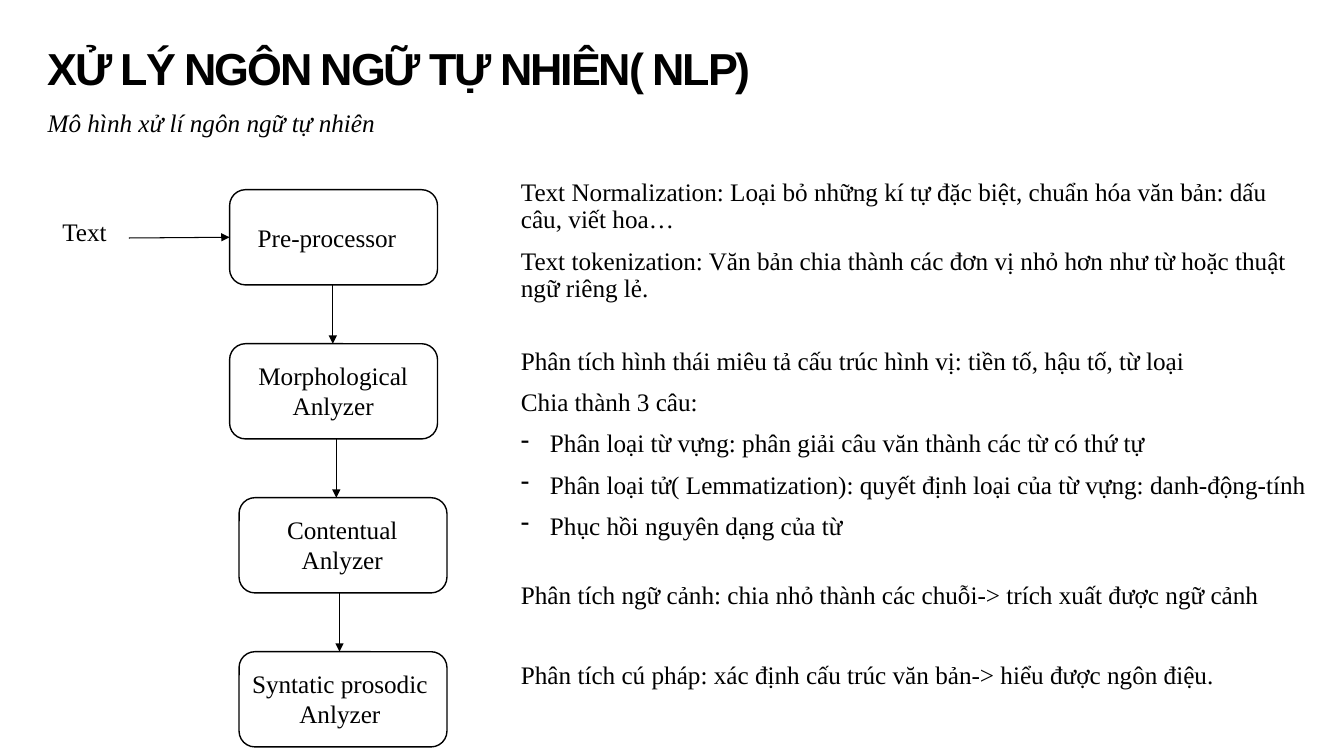
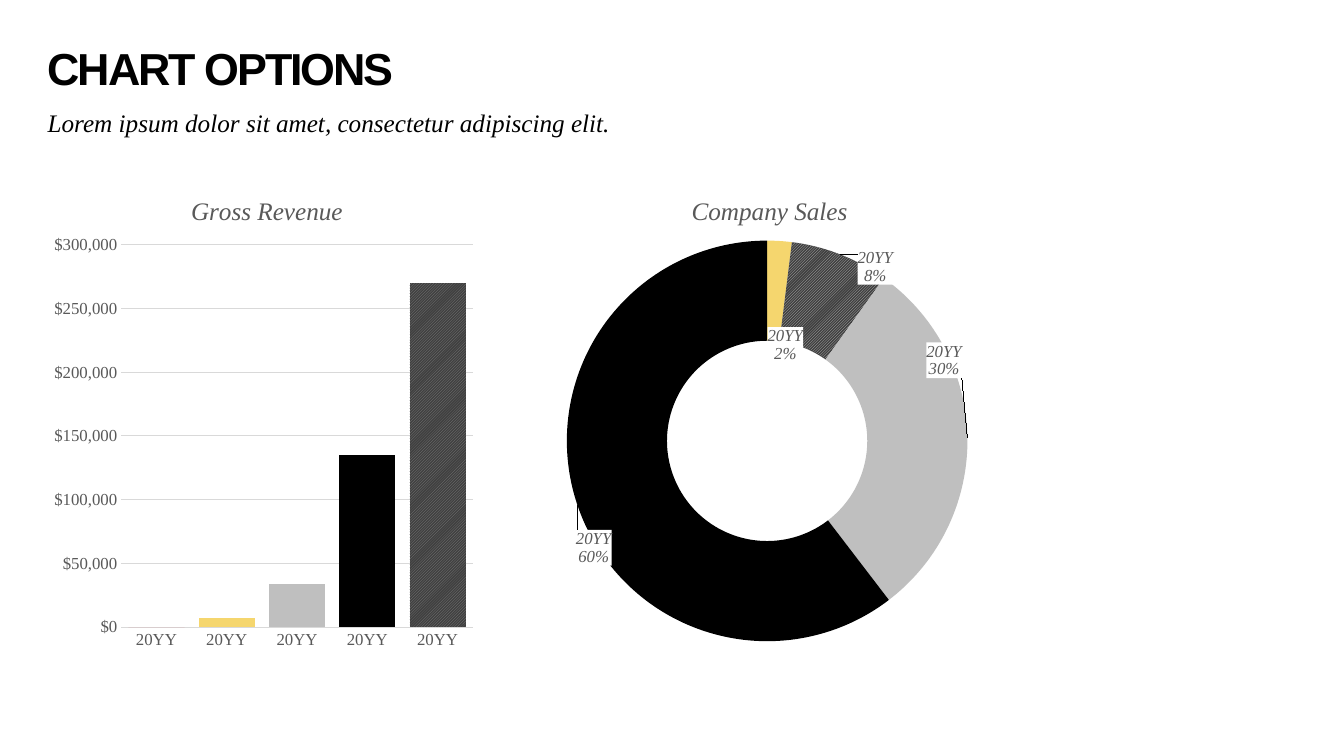
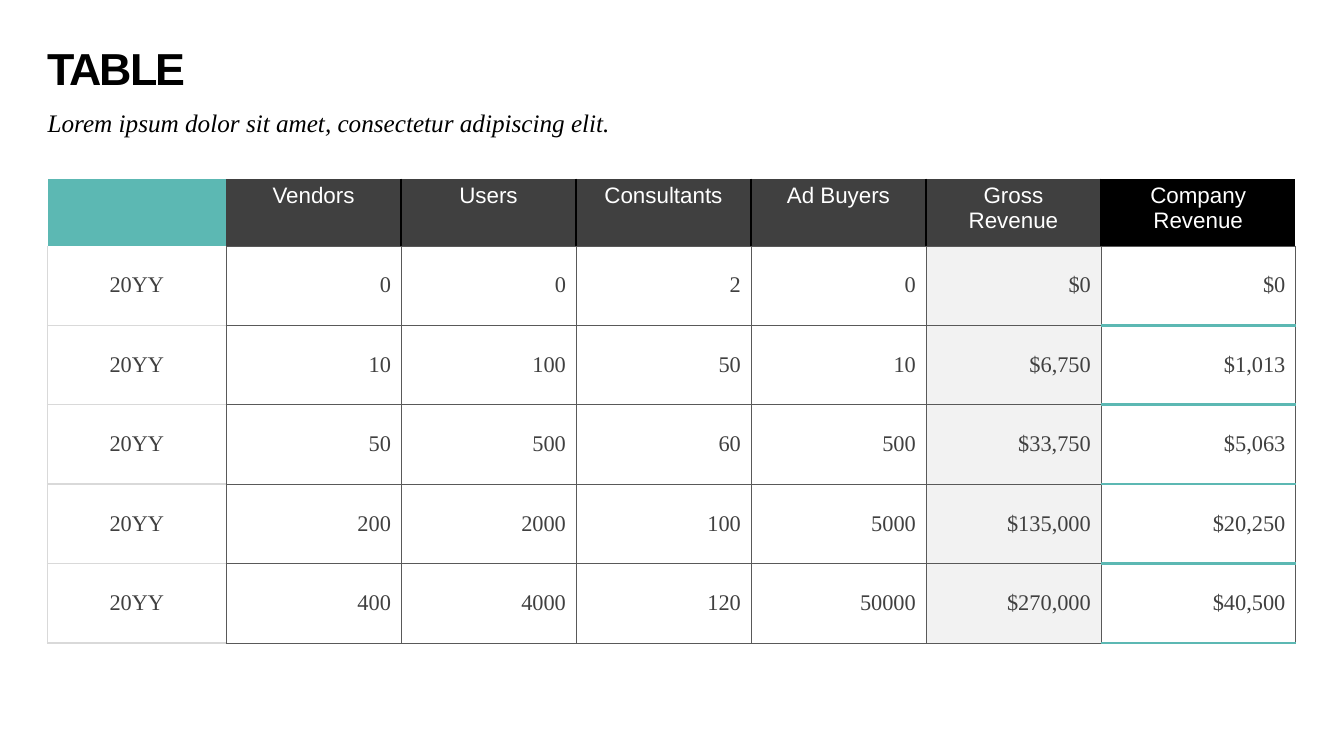
from copy import deepcopy
from dataclasses import dataclass
from typing import Optional

from lxml import etree
from pptx import Presentation
from pptx.chart.data import CategoryChartData
from pptx.dml.color import RGBColor
from pptx.enum.chart import XL_CHART_TYPE, XL_TICK_MARK
from pptx.enum.dml import MSO_PATTERN
from pptx.enum.shapes import MSO_CONNECTOR, MSO_SHAPE
from pptx.enum.text import MSO_ANCHOR, MSO_AUTO_SIZE, PP_ALIGN
from pptx.oxml import parse_xml
from pptx.oxml.ns import nsdecls, qn
from pptx.util import Pt

COLUMN, DOUGHNUT = XL_CHART_TYPE.COLUMN_CLUSTERED, XL_CHART_TYPE.DOUGHNUT
NO_TICK = XL_TICK_MARK.NONE
DIAGONAL = MSO_PATTERN.DARK_UPWARD_DIAGONAL
STRAIGHT, ROUND_RECT = MSO_CONNECTOR.STRAIGHT, MSO_SHAPE.ROUNDED_RECTANGLE
TOP, MIDDLE = MSO_ANCHOR.TOP, MSO_ANCHOR.MIDDLE
GROW = MSO_AUTO_SIZE.SHAPE_TO_FIT_TEXT
LEFT, CENTER, RIGHT = PP_ALIGN.LEFT, PP_ALIGN.CENTER, PP_ALIGN.RIGHT


@dataclass(frozen=True)
class Theme:
    black: str = "000000"
    white: str = "FFFFFF"
    dark: str = "404040"
    gray: str = "595959"
    mid: str = "808080"
    silver: str = "BFBFBF"
    rule: str = "D9D9D9"
    pale: str = "F2F2F2"
    teal: str = "5CB8B3"
    rose: str = "D78189"
    gold: str = "F5D66E"
    sans: str = "Arial"
    serif: str = "Times New Roman"
    title: float = 32
    body: float = 18
    cell: float = 16
    label: float = 12
    small: float = 10
    margin: float = 34
    leading: float = 0.9
    gap: float = 10


T = Theme()


@dataclass(frozen=True)
class Box:
    x: float
    y: float
    w: float
    h: float

    def lengths(self) -> tuple:
        return Pt(self.x), Pt(self.y), Pt(self.w), Pt(self.h)


@dataclass(frozen=True)
class Stage:
    name: str
    left: float
    label: Box
    align: PP_ALIGN
    arrow_x: Optional[float] = None


@dataclass(frozen=True)
class Note:
    box: Box
    lines: tuple
    bullets: tuple = ()


@dataclass(frozen=True)
class Hatch:
    fore: str
    back: str


@dataclass(frozen=True)
class ChartSpec:
    kind: XL_CHART_TYPE
    box: Box
    title: str
    title_at: tuple
    plot_at: tuple
    values: tuple
    fills: tuple


@dataclass(frozen=True)
class Border:
    color: str
    width: float


# Text helpers
def rgb(color: str) -> RGBColor:
    return RGBColor.from_string(color)


def style_font(font, size: float, color: str, face: str = T.serif,
               bold: bool = False, italic: bool = False) -> None:
    font.name, font.size = face, Pt(size)
    font.bold, font.italic = bold, italic
    font.color.rgb = rgb(color)


def add_run(p, text: str, size: float = T.body, color: str = T.black, **look):
    r = p.add_run()
    r.text = text
    style_font(r.font, size, color, **look)
    return r


def text_frame(s, box: Box, inset: bool = True):
    tf = s.shapes.add_textbox(*box.lengths()).text_frame
    tf.word_wrap = True
    if not inset:
        tf.margin_left = tf.margin_top = tf.margin_right = tf.margin_bottom = 0
    return tf


def add_label(s, box: Box, text: str, align: PP_ALIGN = LEFT) -> None:
    tf = text_frame(s, box)
    tf.auto_size = GROW
    tf.paragraphs[0].alignment = align
    add_run(tf.paragraphs[0], text)


def add_note(s, note: Note) -> None:
    tf = text_frame(s, note.box)
    for i, text in enumerate(note.lines + note.bullets):
        p = tf.add_paragraph() if i else tf.paragraphs[0]
        p.line_spacing = T.leading
        if i:
            p.space_before = Pt(T.gap)
        if i >= len(note.lines):
            pPr = p._p.get_or_add_pPr()
            pPr.set("marL", str(Pt(20.75)))
            pPr.set("indent", str(-Pt(20.75)))
            etree.SubElement(pPr, qn("a:buChar")).set("char", "-")
        add_run(p, text)


def new_slide(prs, title: str, subtitle: str, subtitle_width: float = 893):
    s = prs.slides.add_slide(prs.slide_layouts[6])
    tf = text_frame(s, Box(T.margin, 34, 724, 34), inset=False)
    tf.vertical_anchor = MIDDLE
    p = tf.paragraphs[0]
    p.line_spacing = T.leading
    r = add_run(p, title, T.title, face=T.sans, bold=True)
    r._r.get_or_add_rPr().set("spc", "-150")
    p = text_frame(s, Box(T.margin, 79, subtitle_width, 28), inset=False).paragraphs[0]
    p.line_spacing = T.leading
    add_run(p, subtitle, italic=True)
    return s


# Flow diagram
STAGE_TOP, STAGE_STEP, STAGE_W, STAGE_H = 135.5, 110, 148.5, 68

STAGES = (
    Stage("Pre-processor", 164, Box(177, 155, 121, 29), LEFT, 237.75),
    Stage("Morphological Anlyzer", 164, Box(170.5, 253.5, 135, 51), CENTER, 240.25),
    Stage("Contentual Anlyzer", 170.75, Box(177, 363.5, 135, 51), CENTER, 242.5),
    Stage("Syntatic prosodic Anlyzer", 170.75, Box(170, 473.5, 145.5, 51), CENTER),
)

NOTE_X, NOTE_W = 365, 580
NOTES = (
    Note(Box(NOTE_X, 125, NOTE_W, 140), (
        "Text Normalization: Loại bỏ những kí tự đặc biệt, chuẩn hóa văn bản: dấu câu, viết hoa…",
        "Text tokenization: Văn bản chia thành các đơn vị nhỏ hơn như từ hoặc thuật ngữ riêng lẻ.")),
    Note(Box(NOTE_X, 245.5, NOTE_W, 152), (
        "Phân tích hình thái miêu tả cấu trúc hình vị: tiền tố, hậu tố, từ loại",
        "Chia thành 3 câu:"), (
        "Phân loại từ vựng: phân giải câu văn thành các từ có thứ tự",
        "Phân loại tử( Lemmatization): quyết định loại của từ vựng: danh-động-tính",
        "Phục hồi nguyên dạng của từ")),
    Note(Box(NOTE_X, 412.5, NOTE_W, 34.5), (
        "Phân tích ngữ cảnh: chia nhỏ thành các chuỗi-> trích xuất được ngữ cảnh",)),
    Note(Box(NOTE_X, 469.5, NOTE_W, 34.5), (
        "Phân tích cú pháp: xác định cấu trúc văn bản-> hiểu được ngôn điệu.",)),
)


def add_arrow(s, x1: float, y1: float, x2: float, y2: float) -> None:
    c = s.shapes.add_connector(STRAIGHT, Pt(x1), Pt(y1), Pt(x2), Pt(y2))
    c.line.color.rgb = rgb(T.black)
    c.line.width = Pt(0.75)
    spPr = c._element.spPr
    etree.SubElement(spPr.find(qn("a:ln")), qn("a:tailEnd")).set("type", "triangle")
    etree.SubElement(spPr, qn("a:effectLst"))


def flow_slide(prs) -> None:
    s = new_slide(prs, "XỬ LÝ NGÔN NGỮ TỰ NHIÊN( NLP)", "Mô hình xử lí ngôn ngữ tự nhiên")
    add_label(s, Box(37.5, 151, 80, 29), "Text")
    for i, stage in enumerate(STAGES):
        top = STAGE_TOP + i * STAGE_STEP
        sp = s.shapes.add_shape(ROUND_RECT, *Box(stage.left, top, STAGE_W, STAGE_H).lengths())
        sp.shadow.inherit = False
        sp.fill.solid()
        sp.fill.fore_color.rgb = rgb(T.white)
        sp.line.color.rgb = rgb(T.black)
        sp.line.width = Pt(1)
        add_label(s, stage.label, stage.name, stage.align)
        if stage.arrow_x is not None:
            add_arrow(s, stage.arrow_x, top + STAGE_H, stage.arrow_x, top + STAGE_STEP)
    add_arrow(s, 92, 170, 164, 169.5)
    for note in NOTES:
        add_note(s, note)


# Charts
CHARTS = (
    ChartSpec(COLUMN, Box(T.margin, 119, 310, 350), "Gross Revenue",
              (0.32, 0.05), (0.17, 0.16, 0.81, 0.78), (0, 7000, 34000, 135000, 270000),
              (T.rose, T.gold, T.silver, T.black, Hatch(T.mid, T.dark))),
    ChartSpec(DOUGHNUT, Box(389, 119, 318, 350), "Company Sales",
              (0.32, 0.05), (0.05, 0.15, 0.9, 0.82), (0, 2, 8, 30, 61),
              (T.rose, T.gold, Hatch(T.silver, T.dark), T.silver, T.black)),
)
# Label shifts as shares of the chart; the empty slice has no label
LABEL_SHIFTS = (None, (0.02, 0.11), (0.12, -0.07), (0.06, -0.16), (-0.07, 0.12))


def layout_xml(x: float, y: float, size: Optional[tuple] = None, edge: bool = True):
    parts = '<c:layoutTarget val="inner"/>' if size else ""
    if edge:
        parts += '<c:xMode val="edge"/><c:yMode val="edge"/>'
    parts += f'<c:x val="{x}"/><c:y val="{y}"/>'
    if size:
        parts += f'<c:w val="{size[0]}"/><c:h val="{size[1]}"/>'
    return parse_xml(f'<c:layout {nsdecls("c")}><c:manualLayout>{parts}'
                     '</c:manualLayout></c:layout>')


def set_layout(parent, layout, index: int) -> None:
    for old in parent.findall(qn("c:layout")):
        parent.remove(old)
    parent.insert(index, layout)


def paint(fill, paint_with) -> None:
    if isinstance(paint_with, Hatch):
        fill.patterned()
        fill.pattern = DIAGONAL
        fill.fore_color.rgb = rgb(paint_with.fore)
        fill.back_color.rgb = rgb(paint_with.back)
    else:
        fill.solid()
        fill.fore_color.rgb = rgb(paint_with)


def format_axes(chart) -> None:
    cat, val = chart.category_axis, chart.value_axis
    for axis in (cat, val):
        axis.major_tick_mark = axis.minor_tick_mark = NO_TICK
        style_font(axis.tick_labels.font, T.label, T.gray)
    cat.has_major_gridlines = False
    val.has_major_gridlines = True
    for line in (cat.format.line, val.major_gridlines.format.line):
        line.color.rgb = rgb(T.rule)
        line.width = Pt(0.75)
    val.format.line.fill.background()
    val.minimum_scale, val.maximum_scale, val.major_unit = 0, 300000, 50000
    val.tick_labels.number_format = "[$$-409]#,##0"
    val.tick_labels.number_format_is_linked = False


def label_slices(series) -> None:
    labels = series.data_labels
    style_font(labels.font, T.label, T.gray, italic=True)
    labels.show_value = False
    labels.show_category_name = labels.show_percentage = True
    labels.number_format, labels.number_format_is_linked = "0%", False
    txPr = labels._element.find(qn("c:txPr"))
    for i, shift in enumerate(LABEL_SHIFTS):
        inner = '<c:delete val="1"/>' if shift is None else (
            '<c:numFmt formatCode="0%" sourceLinked="0"/>'
            f'<c:spPr><a:solidFill><a:srgbClr val="{T.white}"/></a:solidFill></c:spPr>'
            '<c:showLegendKey val="0"/><c:showVal val="0"/><c:showCatName val="1"/>'
            '<c:showSerName val="0"/><c:showPercent val="1"/><c:showBubbleSize val="0"/>'
            '<c:separator>\n</c:separator>')
        label = parse_xml(f'<c:dLbl {nsdecls("c", "a")}><c:idx val="{i}"/>{inner}</c:dLbl>')
        if shift:
            label.insert(1, layout_xml(*shift, edge=False))
            label.find(qn("c:spPr")).addnext(deepcopy(txPr))
        labels._element.insert(i, label)


def add_chart(s, spec: ChartSpec) -> None:
    data = CategoryChartData()
    data.categories = ["20YY"] * len(spec.values)
    data.add_series("Series 1", spec.values)
    chart = s.shapes.add_chart(spec.kind, *spec.box.lengths(), data).chart
    style_font(chart.font, T.small, T.black)
    chart.has_legend = False
    chart.has_title = True
    add_run(chart.chart_title.text_frame.paragraphs[0], spec.title, T.body, T.gray, italic=True)
    set_layout(chart.chart_title._element, layout_xml(*spec.title_at), 1)
    plot, series = chart.plots[0], chart.plots[0].series[0]
    x, y, w, h = spec.plot_at
    set_layout(plot._element.getparent(), layout_xml(x, y, (w, h)), 0)
    for i, fill in enumerate(spec.fills):
        look = series.points[i].format
        paint(look.fill, fill)
        look.line.fill.background()
    if spec.kind == COLUMN:
        plot.vary_by_categories = False
        plot.gap_width = 25
        series.invert_if_negative = False
        paint(series.format.fill, T.rose)
        format_axes(chart)
    else:
        plot.vary_by_categories = True
        plot._element.find(qn("c:holeSize")).set("val", "90")
        label_slices(series)


def chart_slide(prs) -> None:
    s = new_slide(prs, "CHART OPTIONS", "Lorem ipsum dolor sit amet, consectetur adipiscing elit.")
    for spec in CHARTS:
        add_chart(s, spec)


# Table
ROWS = (
    ("", "Vendors", "Users", "Consultants", "Ad Buyers", "Gross Revenue", "Company Revenue"),
    ("20YY", "0", "0", "2", "0", "$0", "$0"),
    ("20YY", "10", "100", "50", "10", "$6,750", "$1,013"),
    ("20YY", "50", "500", "60", "500", "$33,750", "$5,063"),
    ("20YY", "200", "2000", "100", "5000", "$135,000", "$20,250"),
    ("20YY", "400", "4000", "120", "50000", "$270,000", "$40,500"),
)
COL_W = (127.5,) + (125,) * 5 + (139,)
ROW_H = (48,) + (56.75,) * 5
LAST = len(COL_W) - 1
THIN, BLACK = Border(T.gray, 0.25), Border(T.black, 1)
LIGHT, ACCENT = Border(T.rule, 1), Border(T.teal, 2.25)


def cell_borders(row: int, col: int) -> dict:
    if row == 0:
        if col == 0:
            return {}
        return {"L": BLACK if col > 1 else None, "R": BLACK if col < LAST else None, "B": THIN}
    if col == 0:
        return {"L": LIGHT, "R": THIN, "T": LIGHT if row > 1 else None, "B": LIGHT}
    if col == LAST:
        return {"L": THIN, "R": THIN, "T": ACCENT if row > 1 else THIN, "B": ACCENT}
    return dict.fromkeys("LRTB", THIN)


def cell_fill(row: int, col: int) -> str:
    if row == 0:
        return {0: T.teal, LAST: T.black}.get(col, T.dark)
    return T.pale if col == LAST - 1 else T.white


def set_borders(cell, borders: dict) -> None:
    tcPr = cell._tc.get_or_add_tcPr()
    for side in "LRTB":
        border = borders.get(side)
        ln = etree.SubElement(tcPr, qn(f"a:ln{side}"))
        if border is None:
            etree.SubElement(ln, qn("a:noFill"))
            continue
        ln.set("w", str(Pt(border.width)))
        solid = etree.SubElement(ln, qn("a:solidFill"))
        etree.SubElement(solid, qn("a:srgbClr")).set("val", border.color)


def table_slide(prs) -> None:
    s = new_slide(prs, "TABLE", "Lorem ipsum dolor sit amet, consectetur adipiscing elit.", 724)
    box = Box(T.margin, 127.5, sum(COL_W), sum(ROW_H))
    table = s.shapes.add_table(len(ROWS), len(COL_W), *box.lengths()).table
    table.first_row = table.horz_banding = False
    for col, width in enumerate(COL_W):
        table.columns[col].width = Pt(width)
    for row, (height, texts) in enumerate(zip(ROW_H, ROWS)):
        table.rows[row].height = Pt(height)
        for col, text in enumerate(texts):
            cell = table.cell(row, col)
            set_borders(cell, cell_borders(row, col))
            paint(cell.fill, cell_fill(row, col))
            cell.vertical_anchor = MIDDLE if row else TOP
            p = cell.text_frame.paragraphs[0]
            p.alignment = RIGHT if row and col else CENTER
            if text:
                add_run(p, text, T.cell, T.dark if row else T.white,
                        face=T.serif if row else T.sans)


def main() -> None:
    prs = Presentation()
    prs.slide_width, prs.slide_height = Pt(960), Pt(540)
    flow_slide(prs)
    chart_slide(prs)
    table_slide(prs)
    prs.save("out.pptx")


if __name__ == "__main__":
    main()
